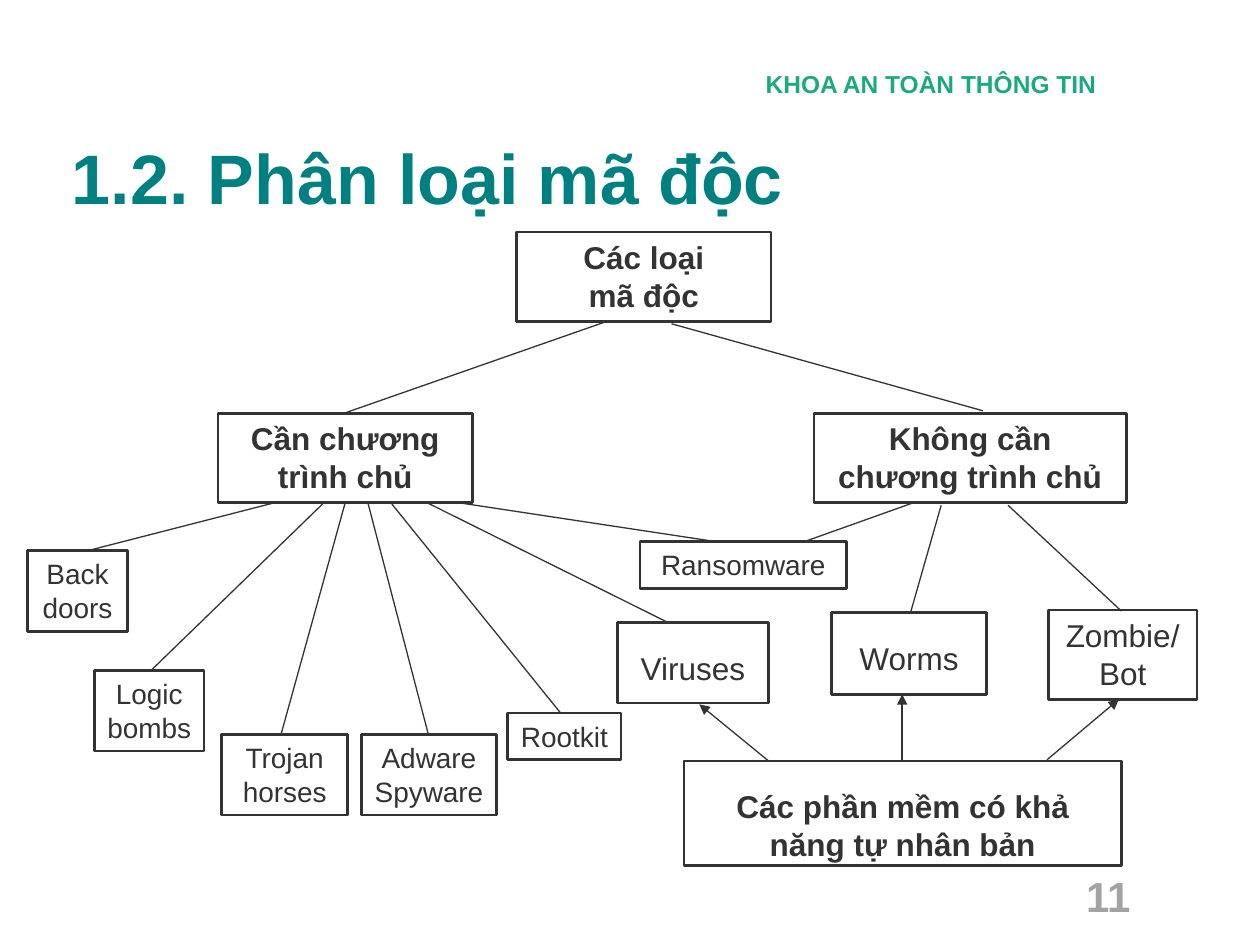
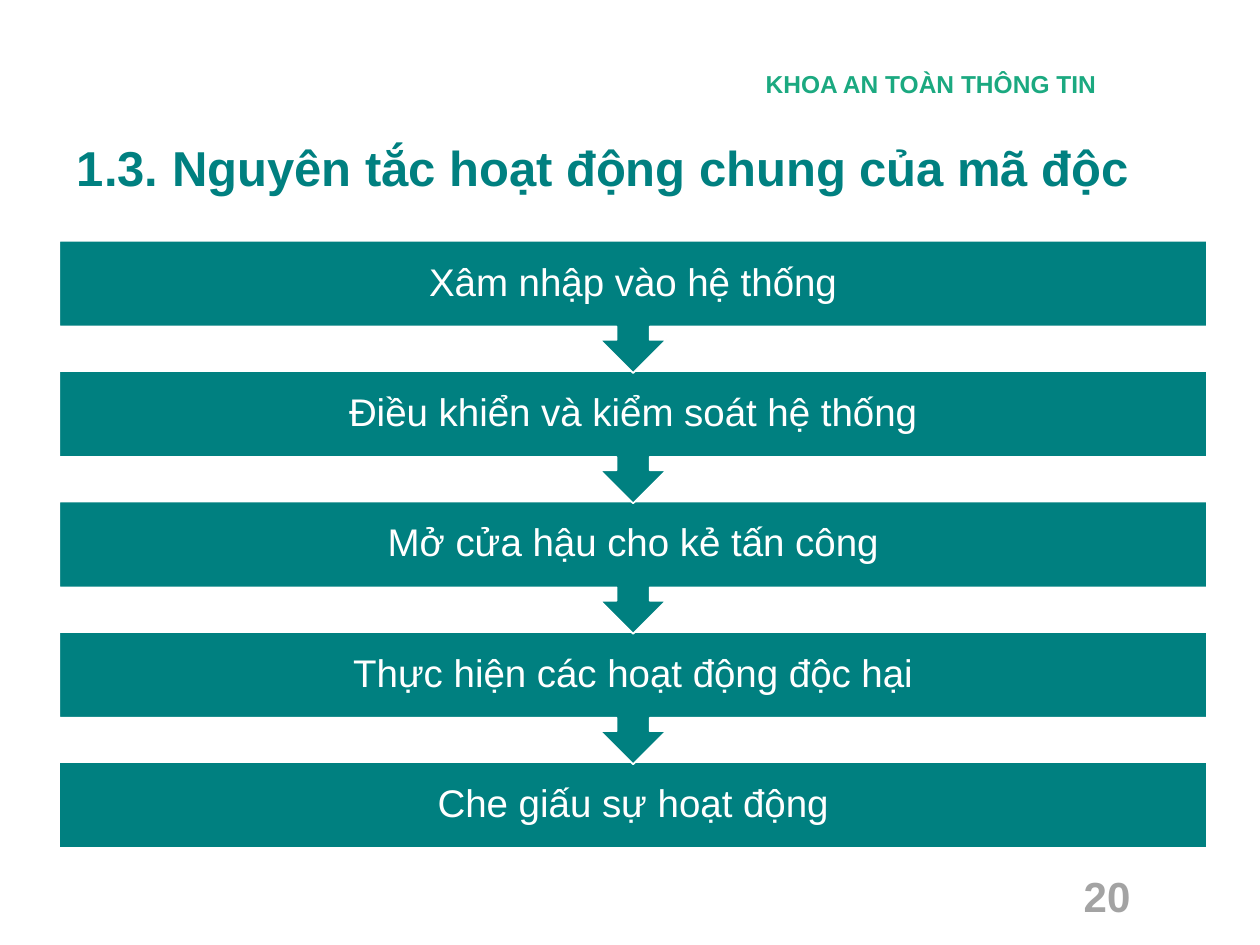
from pptx import Presentation
from pptx.dml.color import RGBColor
from pptx.enum.shapes import MSO_CONNECTOR, MSO_SHAPE
from pptx.enum.text import MSO_ANCHOR, MSO_AUTO_SIZE, PP_ALIGN
from pptx.oxml.ns import qn
from pptx.util import Inches, Pt
from lxml.etree import SubElement

TEAL, GREEN, DARK, GREY, WHITE = "008080", "1BA980", "333333", "A3A3A3", "FFFFFF"
TITLE_ONLY = 5


def colour(value):
    return RGBColor.from_string(value)


class SlideBuilder:
    font = "Arial"

    def __init__(self, deck):
        self.deck = deck
        self.page = None

    def set_text(self, frame, text, size, ink, bold=False, align=PP_ALIGN.CENTER,
                 anchor=MSO_ANCHOR.TOP, wrap=True, spacing=None):
        frame.text = text
        frame.auto_size = MSO_AUTO_SIZE.NONE
        frame.word_wrap = wrap
        frame.vertical_anchor = anchor
        for para in frame.paragraphs:
            para.alignment = align
            para.line_spacing = spacing
            para.font.name = self.font
            para.font.size = Pt(size)
            para.font.bold = bold
            para.font.color.rgb = colour(ink)

    def add_page(self, title, number, left, width, title_size):
        self.page = self.deck.slides.add_slide(self.deck.slide_layouts[TITLE_ONLY])
        heading = self.page.shapes.title
        heading.left, heading.top = Inches(left), Inches(1.09)
        heading.width, heading.height = Inches(width), Inches(0.65)
        self.set_text(heading.text_frame, title, title_size, TEAL, True, PP_ALIGN.LEFT,
                      spacing=0.9)
        self.label("KHOA AN TOÀN THÔNG TIN", (5.87, 0.5, 2.93, 0.34), 14, GREEN)
        self.label(str(number), (5.69, 6.91, 3.38, 0.4), 24, GREY, MSO_ANCHOR.MIDDLE)

    def label(self, text, place, size, ink, anchor=MSO_ANCHOR.TOP):
        box = self.page.shapes.add_textbox(*map(Inches, place))
        self.set_text(box.text_frame, text, size, ink, True, PP_ALIGN.RIGHT, anchor)

    def shape(self, kind, place, line, line_width, fill=None):
        shape = self.page.shapes.add_shape(kind, *map(Inches, place))
        shape.shadow.inherit = False
        if fill:
            shape.fill.solid()
            shape.fill.fore_color.rgb = colour(fill)
        else:
            shape.fill.background()
        shape.line.color.rgb = colour(line)
        shape.line.width = Pt(line_width)
        return shape

    def node(self, text, place, size, bold=False, wrap=False, top_inset=0.05):
        box = self.shape(MSO_SHAPE.RECTANGLE, place, DARK, 1.5)
        box.text_frame.margin_top = Inches(top_inset)
        self.set_text(box.text_frame, text, size, DARK, bold, wrap=wrap)

    def step(self, text, kind, place):
        box = self.shape(kind, place, WHITE, 1, TEAL)
        self.set_text(box.text_frame, text, 22, WHITE, anchor=MSO_ANCHOR.MIDDLE, spacing=0.9)

    def link(self, start, end, arrow=False):
        connector = self.page.shapes.add_connector(
            MSO_CONNECTOR.STRAIGHT, *map(Inches, start + end))
        connector.line.color.rgb = colour(DARK)
        connector.line.width = Pt(0.75)
        properties = connector._element.spPr
        if arrow:
            SubElement(properties.find(qn("a:ln")), qn("a:tailEnd"), type="triangle")
        SubElement(properties, qn("a:effectLst"))


def build_classification(builder):
    builder.add_page("1.2. Phân loại mã độc", 11, 0.47, 8.25, 40)

    categories = [
        ("Các loại\vmã độc", (4.1, 1.84, 2.02, 0.71)),
        ("Cần chương\vtrình chủ", (1.73, 3.28, 2.02, 0.71)),
        ("Không cần\vchương trình chủ", (6.46, 3.28, 2.48, 0.71)),
    ]
    for text, place in categories:
        builder.node(text, place, 18, bold=True)

    small_kinds = [
        ("Back\vdoors", (0.22, 4.37, 0.79, 0.64)),
        ("Logic\vbombs", (0.75, 5.32, 0.87, 0.64)),
        ("Trojan\vhorses", (1.76, 5.83, 1, 0.64)),
        ("Adware\vSpyware", (2.87, 5.83, 1.07, 0.64)),
        ("Rootkit", (4.03, 5.66, 0.9, 0.37)),
        ("Ransomware", (5.08, 4.3, 1.64, 0.37)),
    ]
    for text, place in small_kinds:
        builder.node(text, place, 16)

    builder.node("Zombie/Bot", (8.32, 4.84, 1.18, 0.71), 18, wrap=True)
    self_replicating = [
        ("Viruses", (4.9, 4.94, 1.2, 0.64), False),
        ("Worms", (6.6, 4.86, 1.23, 0.65), False),
        ("Các phần mềm có khả năng tự nhân bản", (5.43, 6.04, 3.47, 0.83), True),
    ]
    for text, place, bold in self_replicating:
        builder.node(text, place, 18, bold, wrap=True, top_inset=0.21)

    branches = [
        ((4.79, 2.56), (2.73, 3.28)),
        ((5.33, 2.57), (7.8, 3.26)),
        ((2.18, 3.99), (0.7, 4.37)),
        ((2.56, 4), (1.2, 5.32)),
        ((2.74, 3.99), (2.23, 5.83)),
        ((2.92, 3.99), (3.4, 5.83)),
        ((3.11, 4), (4.45, 5.66)),
        ((3.37, 3.98), (5.3, 4.94)),
        ((3.64, 3.99), (5.69, 4.3)),
        ((7.25, 3.99), (6.38, 4.3)),
        ((7.47, 4.01), (7.23, 4.85)),
        ((8, 4.01), (8.9, 4.85)),
    ]
    for start, end in branches:
        builder.link(start, end)

    replication_arrows = [
        ((6.1, 6.04), (5.55, 5.59)),
        ((7.16, 6.04), (7.16, 5.51)),
        ((8.31, 6.03), (8.88, 5.55)),
    ]
    for start, end in replication_arrows:
        builder.link(start, end, arrow=True)


def build_operation(builder):
    builder.add_page("1.3. Nguyên tắc hoạt động chung của mã độc", 20, 0.51, 8.96, 28)
    steps = [
        "Xâm nhập vào hệ thống",
        "Điều khiển và kiểm soát hệ thống",
        "Mở cửa hậu cho kẻ tấn công",
        "Thực hiện các hoạt động độc hại",
        "Che giấu sự hoạt động",
    ]
    first_top, last_top = 1.91, 6.05
    last = len(steps) - 1
    pitch = (last_top - first_top) / last
    for index, text in reversed(list(enumerate(steps))):
        kind, height = MSO_SHAPE.DOWN_ARROW_CALLOUT, 1.05
        if index == last:
            kind, height = MSO_SHAPE.RECTANGLE, 0.68
        builder.step(text, kind, (0.47, first_top + index * pitch, 9.11, height))


def main():
    deck = Presentation()
    deck.slide_width, deck.slide_height = Inches(10), Inches(7.5)
    builder = SlideBuilder(deck)
    build_classification(builder)
    build_operation(builder)
    deck.save("out.pptx")


if __name__ == "__main__":
    main()
